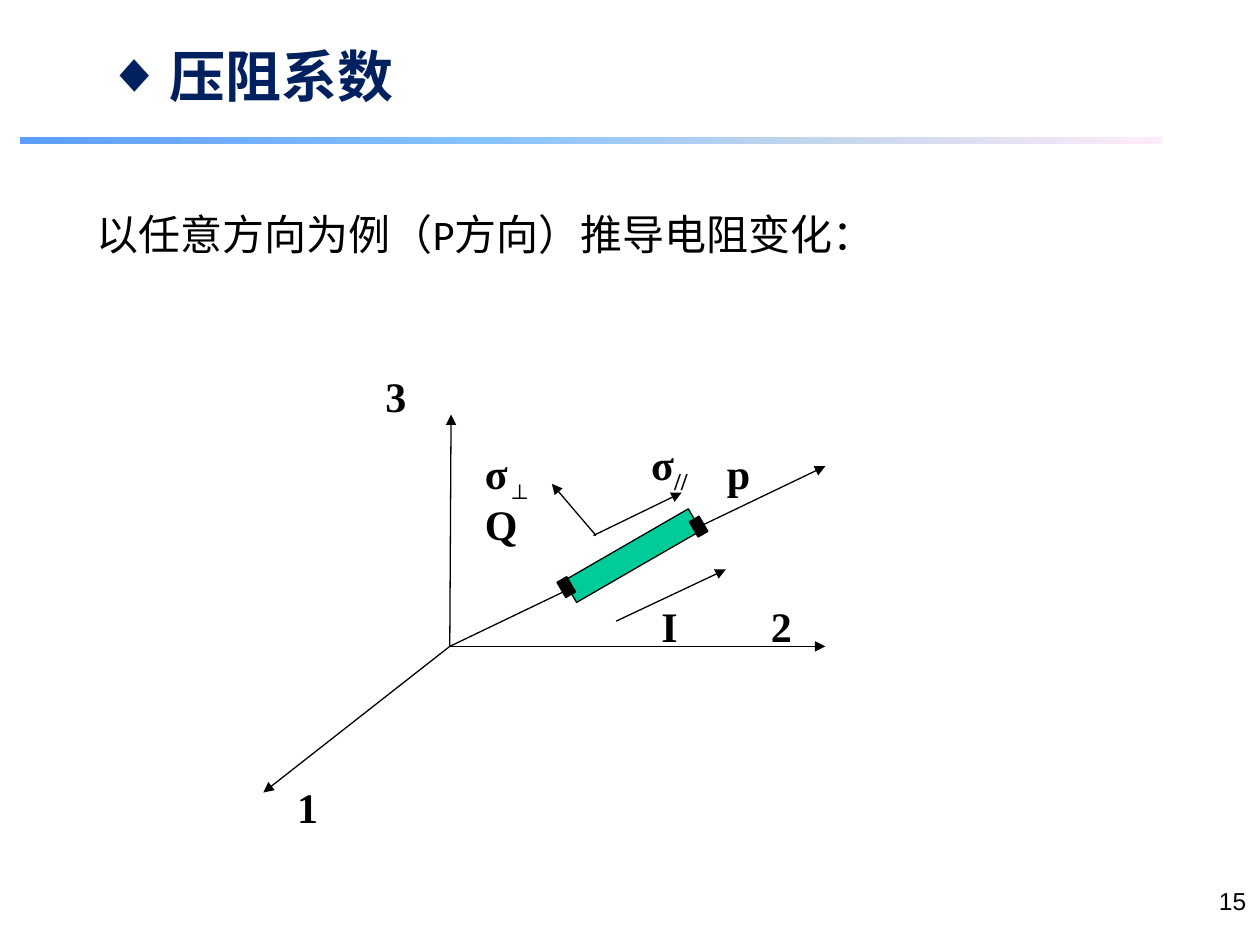
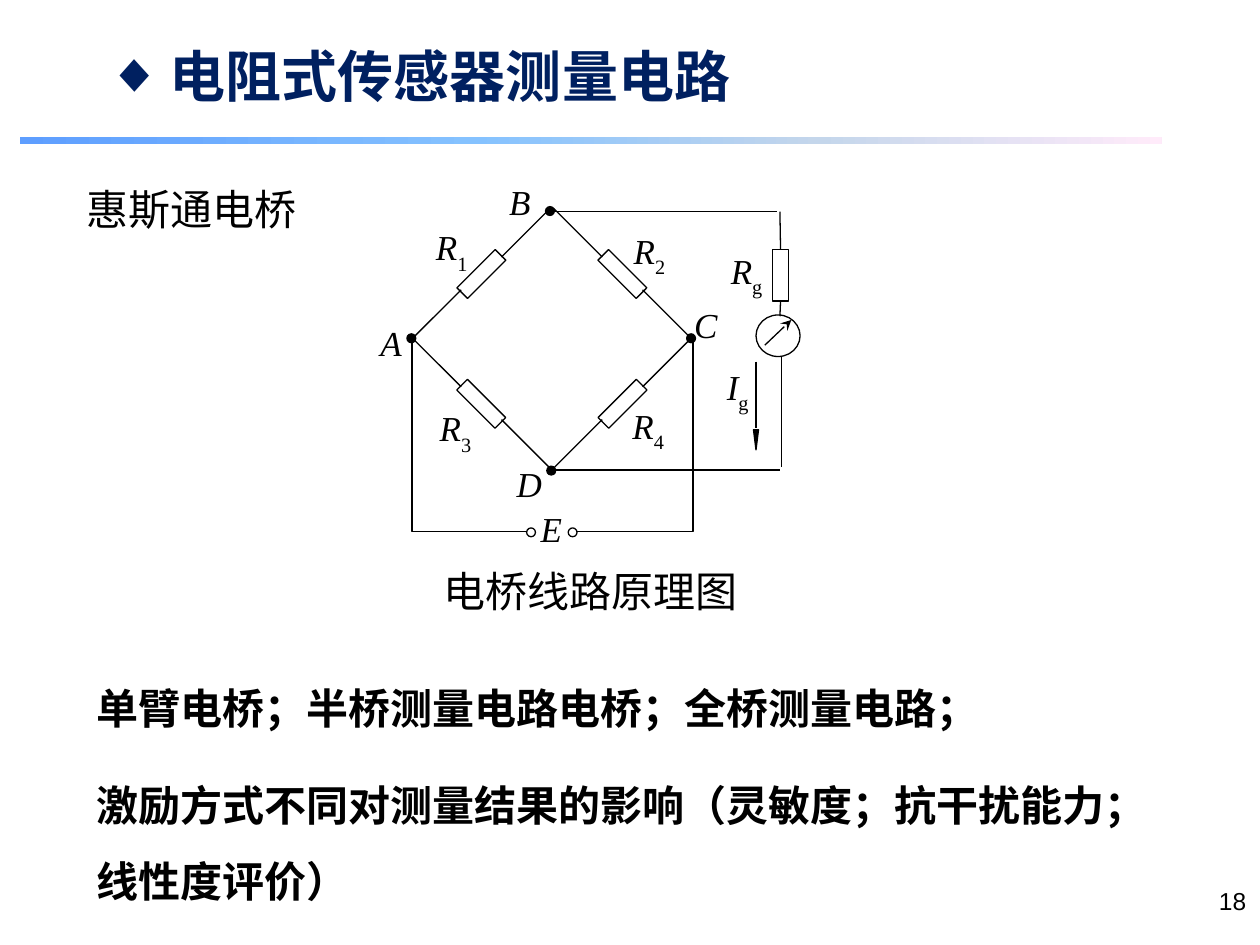
from dataclasses import dataclass
from itertools import product

from lxml.etree import SubElement
from pptx import Presentation
from pptx.dml.color import RGBColor
from pptx.enum.shapes import MSO_CONNECTOR as CONN, MSO_SHAPE as SHAPE
from pptx.enum.text import MSO_ANCHOR as ANCHOR, MSO_AUTO_SIZE as AUTO, PP_ALIGN as ALIGN
from pptx.oxml.ns import qn
from pptx.util import Emu, Pt

PX = 9144  # 100 px to the inch


@dataclass(frozen=True)
class Theme:
    ink: str = "000000"
    paper: str = "FFFFFF"
    title: str = "002060"
    gauge: str = "00CC99"
    band: tuple = ((0, "5E9EFF"), (40, "85C2FF"), (70, "C4D6EB"), (100, "FFEBFA"))
    sans: str = "Arial"
    body: str = "Calibri"
    serif: str = "Times New Roman"
    cjk: str = "Noto Sans CJK SC"
    title_pt: int = 32
    body_pt: int = 24
    label_pt: int = 20
    page_pt: int = 14
    line_pt: float = 0.75


def px(*values):
    return [Emu(round(v * PX)) for v in values]


class Deck:
    def __init__(self, theme):
        self.theme = theme
        self.prs = Presentation()
        self.prs.slide_width, self.prs.slide_height = px(1000, 750)
        self.shapes = None

    def slide(self, title, page):
        """Start a slide with the shared band, page number and title."""
        t = self.theme
        self.shapes = self.prs.slides.add_slide(self.prs.slide_layouts[6]).shapes
        self.band(16, 109, 906, 5)
        self.text(791, 698, 208, 50, page, size=t.page_pt, align=ALIGN.RIGHT)
        sp = self.text(75, 28, 562, 63, title, grow=True, font=t.cjk,
                       size=t.title_pt, color=t.title, bold=True)
        self.bullet(sp.text_frame.paragraphs[0], "◆", 50)

    def bullet(self, p, char, indent):
        pPr = p._p.get_or_add_pPr()
        pPr.set("marL", str(indent * PX))
        pPr.set("indent", str(-indent * PX))
        SubElement(pPr, qn("a:buFont")).set("typeface", self.theme.sans)
        SubElement(pPr, qn("a:buChar")).set("char", char)

    def band(self, *box):
        sp = self.shape(SHAPE.RECTANGLE, *box, line=False)
        sp.fill.gradient()
        sp.fill.gradient_angle = 0
        stops = sp._element.spPr.find(qn("a:gradFill")).find(qn("a:gsLst"))
        for gs in list(stops):
            stops.remove(gs)
        for percent, color in self.theme.band:
            gs = SubElement(stops, qn("a:gs"), pos=str(percent * 1000))
            SubElement(gs, qn("a:srgbClr"), val=color)

    def paint(self, sp, fill, line=True):
        sp.shadow.inherit = False
        if fill:
            sp.fill.solid()
            sp.fill.fore_color.rgb = RGBColor.from_string(fill)
        else:
            sp.fill.background()
        if line:
            self.stroke(sp)
        else:
            sp.line.fill.background()
        return sp

    def stroke(self, sp):
        sp.line.color.rgb = RGBColor.from_string(self.theme.ink)
        sp.line.width = Pt(self.theme.line_pt)

    def shape(self, kind, x, y, w, h, fill=None, line=True, rotation=0):
        sp = self.shapes.add_shape(kind, *px(x, y, w, h))
        sp.rotation = rotation
        return self.paint(sp, fill, line)

    def line(self, start, end, head=None):
        cx = self.shapes.add_connector(CONN.STRAIGHT, *px(*start, *end))
        self.stroke(cx)
        if head:
            SubElement(cx.line._get_or_add_ln(), qn("a:tailEnd"), type=head)
        SubElement(cx._element.spPr, qn("a:effectLst"))
        return cx

    def wire(self, first, *rest):
        """Draw an open polyline."""
        builder = self.shapes.build_freeform(*first, scale=PX)
        builder.add_line_segments(rest, close=False)
        return self.paint(builder.convert_to_shape(), None)

    def text(self, x, y, w, h, *paragraphs, fill=None, grow=False, inset=True,
             anchor=ANCHOR.TOP, align=ALIGN.LEFT, spacing=None, gap=0, sub="",
             sub_shift=-25, font=None, size=None, color=None, bold=False, italic=False):
        """Add a text box; sub is a subscript after the last paragraph."""
        t = self.theme
        sp = self.shapes.add_textbox(*px(x, y, w, h))
        if fill:
            self.paint(sp, fill, line=False)
        tf = sp.text_frame
        frame = dict(word_wrap=True, vertical_anchor=anchor,
                     auto_size=AUTO.SHAPE_TO_FIT_TEXT if grow else AUTO.NONE)
        if not inset:
            frame.update(margin_left=0, margin_top=0, margin_right=0, margin_bottom=0)
        for name, value in frame.items():
            setattr(tf, name, value)
        style = dict(name=font or t.sans, size=Pt(size or t.body_pt), bold=bold, italic=italic)
        for i, words in enumerate(paragraphs):
            p = tf.add_paragraph() if i else tf.paragraphs[0]
            p.alignment = align
            if spacing:
                p.line_spacing = spacing
            if i and gap:
                p.space_before = Pt(gap)
            self.run(p, words, style, color)
        if sub:
            r = self.run(p, sub, {**style, "italic": False}, color)
            r._r.get_or_add_rPr().set("baseline", str(sub_shift * 1000))
        return sp

    def run(self, p, words, style, color):
        r = p.add_run()
        r.text = words
        for name, value in style.items():
            setattr(r.font, name, value)
        r.font.color.rgb = RGBColor.from_string(color or self.theme.ink)
        latin = r._r.get_or_add_rPr().find(qn("a:latin"))
        ea = latin.makeelement(qn("a:ea"), {"typeface": self.theme.cjk})
        latin.addnext(ea)
        return r


def piezoresistance(deck):
    t = deck.theme
    deck.slide("压阻系数", "15")
    deck.text(67, 131, 819, 79, "以任意方向为例（P方向）推导电阻变化：",
              font=t.body, anchor=ANCHOR.BOTTOM)

    origin = (357, 513)
    for tip in ((655, 513), (358, 329), (209, 629), (655, 370)):
        deck.line(origin, tip, "triangle")

    deck.shape(SHAPE.RECTANGLE, 445, 431, 114, 20, t.gauge, rotation=330)
    for x, y in ((550, 411), (445, 459)):
        deck.shape(SHAPE.RECTANGLE, x, y, 9, 14, t.ink, rotation=330)

    current = ((489, 493), (576, 452))
    parallel_stress = ((471, 425), (541, 391))
    normal_stress = ((473, 425), (438, 384))
    for start, end in (current, parallel_stress, normal_stress):
        deck.line(start, end, "triangle")

    for x, y, words, sub in ((507, 343, "σ", "//"), (375, 350, "σ", "⊥"),
                             (567, 350, "p", ""), (375, 391, "Q", ""),
                             (226, 615, "1", ""), (602, 472, "2", ""),
                             (296, 289, "3", ""), (515, 472, "I", "")):
        deck.text(x, y, 87, 35, words, sub=sub, grow=True, font=t.serif, bold=True)


def bridge_arms(deck):
    """Draw four resistors at 45 degrees, each with a lead at both ends."""
    columns, rows = (382, 494), (217, 320)
    for (i, cx), (j, cy) in product(enumerate(columns), enumerate(rows)):
        slope = -1 if i == j else 1
        deck.shape(SHAPE.RECTANGLE, cx - 6, cy - 21, 12, 43, deck.theme.paper,
                   rotation=-45 * slope)
        for side in (-1, 1):
            inner, outer = [(cx + side * dx, cy + side * slope * dy)
                            for dx, dy in ((16, 13), (55, 52))]
            deck.line(inner, outer)


def meter_branch(deck):
    t = deck.theme
    deck.line((438, 168), (617, 168))
    deck.line((440, 373), (619, 373))
    resistor = deck.shape(SHAPE.RECTANGLE, 613, 198, 13, 41, t.paper)
    deck.line((619, 168), (619, 198)).end_connect(resistor, 0)
    deck.line((619, 239), (619, 251)).begin_connect(resistor, 2)
    deck.shape(SHAPE.OVAL, 600, 250, 35, 33)
    deck.line((607, 274), (628, 254), "stealth")
    deck.line((620, 283), (620, 371))
    deck.line((600, 287), (600, 340))
    deck.shape(SHAPE.ISOSCELES_TRIANGLE, 598, 341, 4, 16, t.ink, rotation=180)


def bridge_circuit(deck):
    t = deck.theme
    deck.slide("电阻式传感器测量电路", "18")
    bridge_arms(deck)
    for x, y in ((323, 265), (545, 265), (433, 164), (434, 370)):
        deck.shape(SHAPE.OVAL, x, y, 7, 7, t.ink)
    for node_x, terminal_x, ring_x in ((327, 418, 418), (550, 458, 451)):
        deck.wire((node_x, 269), (node_x, 422), (terminal_x, 422))
        deck.shape(SHAPE.OVAL, ring_x, 419, 7, 7, t.paper)
    meter_branch(deck)

    symbol = dict(inset=False, font=t.serif, size=t.label_pt, italic=True)
    for x, y, words, sub in ((481, 182, "R", "2"), (480, 321, "R", "4"),
                             (324, 179, "R", "1"), (327, 323, "R", "3"),
                             (558, 198, "R", "g"), (551, 290, "I", "g")):
        deck.text(x, y, 69, 33, words, sub=sub, sub_shift=-30, align=ALIGN.CENTER, **symbol)
    for x, y, words in ((302, 255, "A"), (404, 143, "B"), (551, 241, "C"), (410, 367, "D")):
        deck.text(x, y, 44, 33, words, **symbol)
    deck.text(418, 403, 39, 31, "E", align=ALIGN.CENTER, **symbol)

    deck.text(279, 449, 380, 43, "电桥线路原理图", inset=False, font=t.serif, align=ALIGN.CENTER)
    deck.text(59, 141, 220, 51, "惠斯通电桥", fill=t.paper, grow=True)
    deck.text(67, 517, 870, 212, "单臂电桥；半桥测量电路电桥；全桥测量电路；",
              "激励方式不同对测量结果的影响（灵敏度；抗干扰能力；线性度评价）",
              fill=t.paper, grow=True, bold=True, spacing=1.5, gap=12)


def main():
    deck = Deck(Theme())
    piezoresistance(deck)
    bridge_circuit(deck)
    deck.prs.save("out.pptx")


if __name__ == "__main__":
    main()
